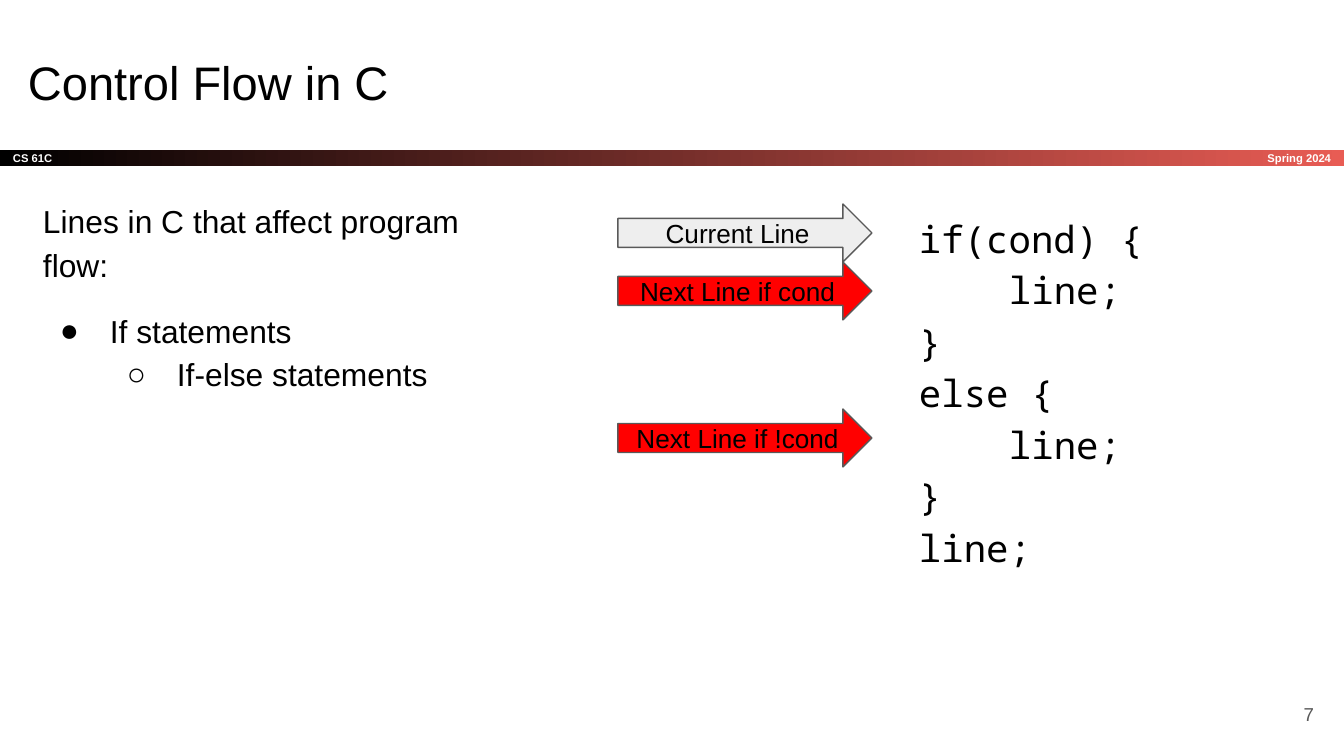
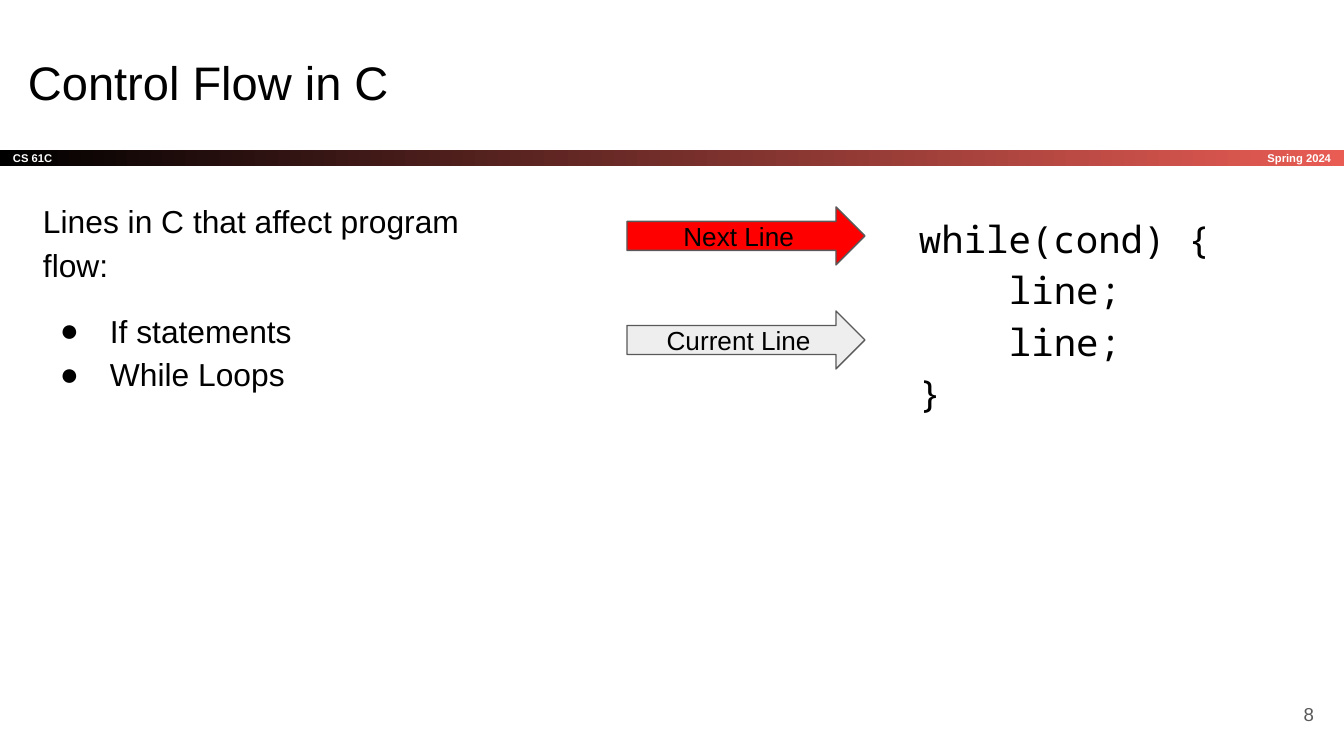
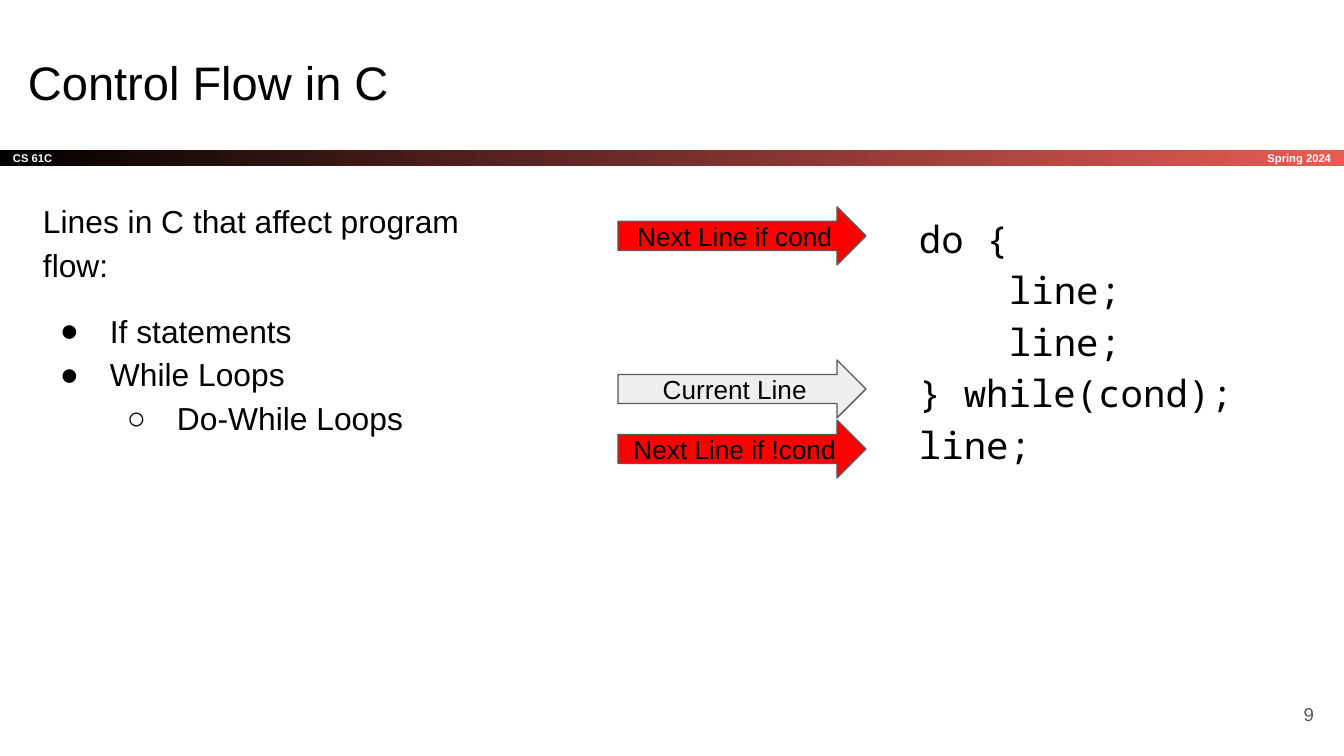
"""Build three slides on the control flow of C, with arrows that point at code lines."""
from lxml.etree import SubElement
from pptx import Presentation
from pptx.dml.color import RGBColor
from pptx.enum.shapes import MSO_SHAPE
from pptx.enum.text import MSO_ANCHOR, PP_ALIGN
from pptx.oxml.ns import qn
from pptx.util import Pt

EMU_PER_PX = 9144000 / 1344
INSET = 13
BULLET_STEP = 67
BULLET_HANG = 50
CODE_STEP = 90
ARROW_HEIGHT = 58

BLACK = "000000"
WHITE = "FFFFFF"
CORAL = "E85C54"
RED = "FF0000"
PALE = "EEEEEE"
GREY = "595959"


def px(*lengths):
    return [round(length * EMU_PER_PX) for length in lengths]


def write(shape, text, size=17, font="Arial", color=BLACK, bold=False,
          align=PP_ALIGN.LEFT, anchor=MSO_ANCHOR.TOP, spacing=1.0,
          before=0, after=0, level=0, margin=0, bullet=None):
    frame = shape.text_frame
    frame.word_wrap = True
    frame.vertical_anchor = anchor
    frame.margin_left, frame.margin_top, frame.margin_right, frame.margin_bottom = px(*[INSET] * 4)
    para = frame.paragraphs[0] if not frame.text else frame.add_paragraph()
    para.alignment = align
    para.level = level
    para.line_spacing = spacing
    para.space_before, para.space_after = Pt(before), Pt(after)
    span = para.add_run()
    span.text = text
    span.font.size, span.font.name, span.font.bold = Pt(size), font, bold
    span.font.color.rgb = RGBColor.from_string(color)
    properties = para._p.get_or_add_pPr()
    properties.set("marL", str(*px(margin)))
    if bullet:
        properties.set("indent", str(*px(-BULLET_HANG)))
        bullet_color = SubElement(properties, qn("a:buClr"))
        SubElement(bullet_color, qn("a:srgbClr"), val=color)
        SubElement(properties, qn("a:buFont"), typeface=font)
        SubElement(properties, qn("a:buChar"), char=bullet)


topics = [
    {
        "bullets": [(0, "If statements"), (1, "If-else statements")],
        "code": [(0, "if(cond) {"), (1, "line;"), (0, "}"), (0, "else {"),
                 (1, "line;"), (0, "}"), (0, "line;")],
        "arrow_span": (618, 254),
        "arrows": [(204, PALE, "Current Line"), (262, RED, "Next Line if cond"),
                   (409, RED, "Next Line if !cond")],
    },
    {
        "bullets": [(0, "If statements"), (0, "While Loops")],
        "code": [(0, "while(cond) {"), (1, "line;"), (1, "line;"), (0, "}")],
        "arrow_span": (627, 238),
        "arrows": [(311, PALE, "Current Line"), (207, RED, "Next Line")],
    },
    {
        "bullets": [(0, "If statements"), (0, "While Loops"), (1, "Do-While Loops")],
        "code": [(0, "do {"), (1, "line;"), (1, "line;"), (0, "} while(cond);"), (0, "line;")],
        "arrow_span": (618, 248),
        "arrows": [(360, PALE, "Current Line"), (207, RED, "Next Line if cond"),
                   (420, RED, "Next Line if !cond")],
    },
]

deck = Presentation()
deck.slide_width, deck.slide_height = px(1344, 756)

for number, topic in enumerate(topics, start=7):
    slide = deck.slides.add_slide(deck.slide_layouts[6])
    shapes = slide.shapes

    band = shapes.add_shape(MSO_SHAPE.RECTANGLE, *px(0, 150, 1344, 16))
    band.shadow.inherit = False
    band.line.fill.background()
    band.fill.gradient()
    band.fill.gradient_angle = 0
    for stop, position, color in zip(band.fill.gradient_stops, (0, 1), (BLACK, CORAL)):
        stop.position = position
        stop.color.rgb = RGBColor.from_string(color)
    write(band, "CS 61C", size=6, color=WHITE, bold=True, anchor=MSO_ANCHOR.MIDDLE)

    term = shapes.add_textbox(*px(1121, 150, 223, 16))
    write(term, "Spring 2024", size=6, color=WHITE, bold=True,
          align=PP_ALIGN.RIGHT, anchor=MSO_ANCHOR.MIDDLE)

    title = shapes.add_textbox(*px(15, 40, 1253, 85))
    write(title, "Control Flow in C", size=25.2)

    summary = shapes.add_textbox(*px(30, 183, 465, 532))
    write(summary, "Lines in C that affect program flow:", spacing=1.15)
    for index, (level, text) in enumerate(topic["bullets"]):
        write(summary, text, spacing=1.15, before=0 if index else 12, level=level,
              margin=BULLET_STEP * (level + 1), bullet="●○"[level])

    page_number = shapes.add_textbox(*px(1246, 685, 81, 58))
    write(page_number, str(number), size=10, color=GREY,
          align=PP_ALIGN.RIGHT, anchor=MSO_ANCHOR.MIDDLE)

    code = shapes.add_textbox(*px(906, 196, 392, 500))
    for depth, text in topic["code"]:
        write(code, text, size=20, font="Noto Sans Mono", spacing=1.15,
              margin=CODE_STEP * depth)

    left, width = topic["arrow_span"]
    for top, color, text in topic["arrows"]:
        arrow = shapes.add_shape(MSO_SHAPE.RIGHT_ARROW, *px(left, top, width, ARROW_HEIGHT))
        arrow.shadow.inherit = False
        arrow.fill.solid()
        arrow.fill.fore_color.rgb = RGBColor.from_string(color)
        arrow.line.color.rgb = RGBColor.from_string(GREY)
        arrow.line.width = Pt(0.75)
        write(arrow, text, size=14, align=PP_ALIGN.CENTER, anchor=MSO_ANCHOR.MIDDLE)

deck.save("out.pptx")
